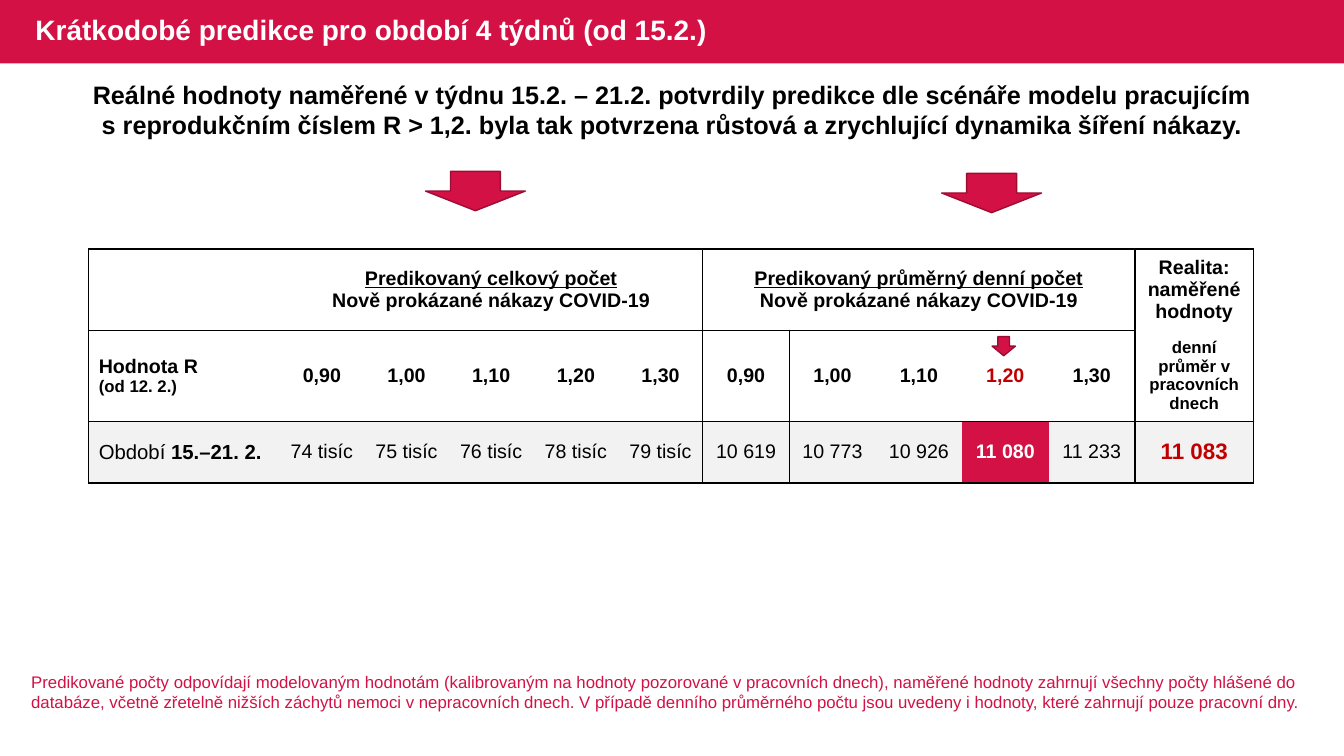
from copy import deepcopy
from dataclasses import dataclass

from lxml.etree import SubElement
from pptx import Presentation
from pptx.dml.color import RGBColor
from pptx.enum.shapes import MSO_SHAPE as Shape
from pptx.enum.text import MSO_ANCHOR as Anchor, MSO_AUTO_SIZE as AutoSize, PP_ALIGN as Align
from pptx.oxml.ns import qn
from pptx.util import Inches, Pt


@dataclass(frozen=True)
class Theme:
    """Colours, font and type sizes of the slide."""
    font: str = "Arial"
    accent: str = "D31145"
    outline: str = "9C0D33"
    alert: str = "C00000"
    ink: str = "000000"
    paper: str = "FFFFFF"
    band: str = "F2F2F2"
    title: float = 20
    heading: float = 18
    result: float = 16
    label: float = 14.5
    body: float = 14
    small: float = 12


THEME = Theme()
WIDTH, HEIGHT = Inches(13.33), Inches(7.5)
PLAIN_TABLE = "{2D5ABB26-0587-4C30-8999-92F81FD0307C}"
COLUMNS = [14.2] + [6.3] * 5 + [6.43] * 5 + [8.82]
ROWS = [10.75, 12.03, 8.2]
REPRODUCTION = ["0,90", "1,00", "1,10", "1,20", "1,30"]
TOTALS = ["74 tisíc", "75 tisíc", "76 tisíc", "78 tisíc", "79 tisíc"]
DAILY = ["10 619", "10 773", "10 926", "11 080", "11 233"]
CONFIRMED = 9


def across(percent):
    """Turn a percentage of the slide width into a length."""
    return round(WIDTH * percent / 100)


def down(percent):
    """Turn a percentage of the slide height into a length."""
    return round(HEIGHT * percent / 100)


def box(left, top, width, height):
    """Turn four percentages into a position and a size."""
    return across(left), down(top), across(width), down(height)


def write(frame, *paragraphs, align=Align.CENTER, spacing=None, **style):
    """Fill a frame; a paragraph is a text or a list of (text, style) runs."""
    for index, content in enumerate(paragraphs):
        paragraph = frame.add_paragraph() if index else frame.paragraphs[0]
        paragraph.alignment = align
        if spacing:
            paragraph.line_spacing = spacing
        runs = [(content, {})] if isinstance(content, str) else content
        for text, changes in runs:
            add_run(paragraph, text, **{**style, **changes})


def add_run(paragraph, text, size=THEME.body, color=THEME.ink, bold=False, underline=False):
    """Add a formatted run, with a line break where the text ends in one."""
    run = paragraph.add_run()
    run.text = text.rstrip("\n")
    font = run.font
    font.name, font.size, font.bold, font.underline = THEME.font, Pt(size), bold, underline
    font.color.rgb = RGBColor.from_string(color)
    if text.endswith("\n"):
        paragraph.add_line_break()
        paragraph._p[-1].append(deepcopy(run._r.rPr))


def add_text(slide, place, text, **style):
    """Add a wrapping text box."""
    frame = slide.shapes.add_textbox(*place).text_frame
    frame.word_wrap = True
    write(frame, text, **style)


def add_block(slide, kind, place, line=None):
    """Add an accent-coloured preset shape."""
    shape = slide.shapes.add_shape(kind, *place)
    shape.shadow.inherit = False
    shape.fill.solid()
    shape.fill.fore_color.rgb = RGBColor.from_string(THEME.accent)
    if line:
        shape.line.color.rgb = RGBColor.from_string(line)
        shape.line.width = Pt(1)
    else:
        shape.line.fill.background()
    return shape


def add_title(slide, text):
    """Fill the title placeholder and set its banner into the layout."""
    banner = add_block(slide, Shape.RECTANGLE, box(0, 0, 100, 8.4))
    slide.slide_layout.placeholders[0].element.addprevious(banner.element)
    title = slide.shapes.title
    title.left, title.top, title.width, title.height = box(1.88, 0, 55.59, 8.4)
    frame = title.text_frame
    frame.word_wrap, frame.auto_size = True, AutoSize.NONE
    frame.vertical_anchor = Anchor.MIDDLE
    write(frame, text, align=Align.LEFT, spacing=0.9,
          size=THEME.title, color=THEME.paper, bold=True)


def set_borders(cell, row, column):
    """Rule the cell along the section edges of the table."""
    edges = {0, 6, 11, 12} | ({7} if row else set())
    end = column + (cell.span_width if cell.is_merge_origin else 1)
    open_edge = 1 if column == 11 else None
    sides = {"L": column in edges, "R": end in edges,
             "T": row != open_edge, "B": row + 1 != open_edge}
    properties = cell._tc.get_or_add_tcPr()
    for side, ruled in sides.items():
        line = SubElement(properties, qn(f"a:ln{side}"), w=str(Pt(1) if ruled else 0))
        fill = SubElement(line, qn("a:solidFill" if ruled else "a:noFill"))
        if ruled:
            SubElement(fill, qn("a:srgbClr"), val=THEME.ink)


def format_cell(cell, row, column):
    """Set the borders, fill, anchor and margins of a cell."""
    set_borders(cell, row, column)
    if row == 2:
        cell.fill.solid()
        color = THEME.accent if column == CONFIRMED else THEME.band
        cell.fill.fore_color.rgb = RGBColor.from_string(color)
    else:
        cell.fill.background()
    cell.vertical_anchor = Anchor.MIDDLE
    if row and 0 < column < 11:
        cell.margin_left = cell.margin_right = cell.margin_top = cell.margin_bottom = 0


def add_plain_table(slide):
    """Add the ruled and merged table without its texts."""
    place = box(6.6, 32.93, sum(COLUMNS), sum(ROWS))
    table = slide.shapes.add_table(len(ROWS), len(COLUMNS), *place).table
    table.first_row = table.horz_banding = False
    table._tbl.tblPr.find(qn("a:tableStyleId")).text = PLAIN_TABLE
    for column, percent in zip(table.columns, COLUMNS):
        column.width = across(percent)
    for row, percent in zip(table.rows, ROWS):
        row.height = down(percent)
    for first in (1, 6):
        table.cell(0, first).merge(table.cell(0, first + 4))
    for row in range(len(ROWS)):
        for column in range(len(COLUMNS)):
            format_cell(table.cell(row, column), row, column)
    return table


def add_predictions(slide):
    """Add the table of predicted and measured counts."""
    table = add_plain_table(slide)

    def put(row, column, *paragraphs, **style):
        """Write into one cell."""
        write(table.cell(row, column).text_frame, *paragraphs, **style)

    for column, heading in ((1, "Predikovaný celkový počet\n"),
                            (6, "Predikovaný průměrný denní počet\n")):
        put(0, column, [(heading, {"underline": True}),
                        ("Nově prokázané nákazy COVID-19", {})], bold=True)
    put(0, 11, "Realita: naměřené", "hodnoty", bold=True)
    put(1, 0, [("Hodnota R\n", {}), ("(od 12. 2.)", {"size": THEME.small})],
        align=Align.LEFT, bold=True)
    put(1, 11, "denní průměr v pracovních dnech", size=THEME.small, bold=True)
    put(2, 0, [("Období ", {}), ("15.–21. 2.", {"bold": True})],
        align=Align.LEFT, size=THEME.label)
    put(2, 11, "11 083", size=THEME.result, color=THEME.alert, bold=True)
    for column, (number, count) in enumerate(zip(REPRODUCTION * 2, TOTALS + DAILY), 1):
        hit = column == CONFIRMED
        put(1, column, number, bold=True, color=THEME.alert if hit else THEME.ink)
        put(2, column, count, bold=hit, color=THEME.paper if hit else THEME.ink)


def main():
    """Build the slide and save it."""
    presentation = Presentation()
    presentation.slide_width, presentation.slide_height = WIDTH, HEIGHT
    slide = presentation.slides.add_slide(presentation.slide_layouts[5])
    add_title(slide, "Krátkodobé predikce pro období 4 týdnů (od 15.2.)")
    add_predictions(slide)
    add_text(slide, box(5.85, 9.87, 88.3, 9.47),
             "Reálné hodnoty naměřené v týdnu 15.2. – 21.2. potvrdily predikce dle scénáře "
             "modelu pracujícím s reprodukčním číslem R > 1,2. byla tak potvrzena růstová "
             "a zrychlující dynamika šíření nákazy.", size=THEME.heading, bold=True)
    add_text(slide, box(1.58, 88.13, 96.25, 6.67),
             "Predikované počty odpovídají modelovaným hodnotám (kalibrovaným na hodnoty "
             "pozorované v pracovních dnech), naměřené hodnoty zahrnují všechny počty hlášené "
             "do databáze, včetně zřetelně nižších záchytů nemoci v nepracovních dnech. "
             "V případě denního průměrného počtu jsou uvedeny i hodnoty, které zahrnují pouze "
             "pracovní dny.", align=Align.LEFT, size=THEME.small, color=THEME.accent)
    for place in ((31.66, 22.67, 7.43, 5.2), (70.07, 22.93, 7.43, 5.2),
                  (73.82, 44.53, 1.73, 2.53)):
        add_block(slide, Shape.DOWN_ARROW, box(*place), line=THEME.outline)
    presentation.save("out.pptx")


if __name__ == "__main__":
    main()
